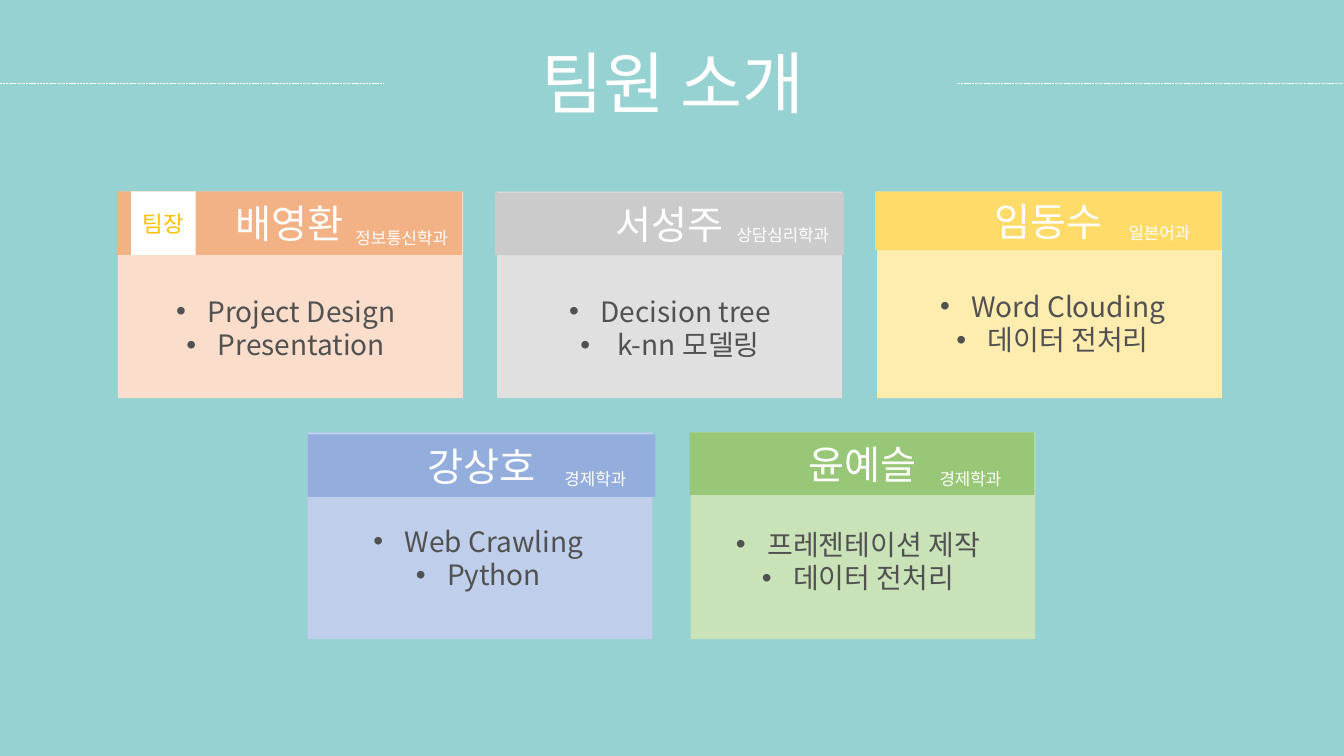
import dataclasses

import lxml.etree
import pptx
import pptx.dml.color
import pptx.enum.dml
import pptx.enum.shapes
import pptx.enum.text
import pptx.oxml.ns
import pptx.util

SCALE = 9144  # EMU in one px, at 100 px to the inch
KIND = pptx.enum.shapes.MSO_SHAPE
ANCHOR = pptx.enum.text.MSO_ANCHOR
qn = pptx.oxml.ns.qn


@dataclasses.dataclass(frozen=True)
class Theme:
    font: str = "Noto Sans CJK KR"
    back: str = "96D2D1"
    white: str = "FFFFFF"
    ink: str = "515151"
    gold: str = "FFC000"
    title: int = 48
    name: int = 28
    duty: int = 20
    badge: int = 16
    dept: int = 12


THEME = Theme()


@dataclasses.dataclass(frozen=True)
class Member:
    name: str
    dept: str
    duties: tuple
    dark: str
    light: str
    box: tuple    # card: left, top, width, height
    band: tuple   # the next three are relative to the card
    tag: tuple
    body: tuple
    lead: str = ""


WIDE, HIGH = 342, 205
UPPER, LOWER = 190, 429

TEAM = (
    Member("배영환", "정보통신학과", ("Project Design", "Presentation"),
           "F3B285", "FADDCA", (117, UPPER, WIDE, HIGH),
           (-1, 0, 342, 63), (221, 31, 121, 30), (3, 97, 327, 77), "팀장"),
    Member("서성주", "상담심리학과", ("Decision tree", " k-nn 모델링"),
           "CBCBCB", "E0E0E0", (493, UPPER, WIDE, HIGH),
           (-2, 1, 346, 62), (223, 28, 121, 30), (-1, 97, 345, 77)),
    Member("임동수", "일본어과", ("Word Clouding", "데이터 전처리"),
           "FFDB69", "FFECAF", (870, UPPER, WIDE, HIGH),
           (-2, 0, 344, 58), (220, 26, 120, 30), (2, 92, 344, 77)),
    Member("강상호", "경제학과", ("Web Crawling", "Python"),
           "93ADDD", "BFCFEB", (305, LOWER, WIDE, HIGH),
           (0, 2, 345, 62), (225, 31, 121, 30), (4, 86, 331, 111)),
    Member("윤예슬", "경제학과", ("프레젠테이션 제작", "데이터 전처리"),
           "97C777", "C9E2B8", (685, LOWER, WIDE, HIGH),
           (-1, 0, 342, 62), (217, 31, 121, 30), (4, 89, 324, 77)),
)


def px(*nums):
    return [pptx.util.Emu(n * SCALE) for n in nums]


def rgb(code):
    return pptx.dml.color.RGBColor.from_string(code)


def within(box, part):
    return (box[0] + part[0], box[1] + part[1], part[2], part[3])


def bullet(para):
    props = para._p.get_or_add_pPr()
    props.set("marL", str(31 * SCALE))
    props.set("indent", str(-31 * SCALE))
    lxml.etree.SubElement(props, qn("a:buFont")).set("typeface", "Arial")
    lxml.etree.SubElement(props, qn("a:buChar")).set("char", "•")


def write(frame, lines, size, color, anchor=ANCHOR.TOP, dots=False):
    frame.word_wrap = True
    frame.vertical_anchor = anchor
    for i, line in enumerate(lines):
        para = frame.add_paragraph() if i else frame.paragraphs[0]
        para.alignment = pptx.enum.text.PP_ALIGN.CENTER
        if dots:
            bullet(para)
        run = para.add_run()
        run.text = line
        run.font.size = pptx.util.Pt(size)
        run.font.name = THEME.font
        run.font.color.rgb = rgb(color)
        # East Asian glyphs take their own typeface
        east = lxml.etree.SubElement(run._r.get_or_add_rPr(), qn("a:ea"))
        east.set("typeface", THEME.font)


def block(slide, kind, box, fill):
    shape = slide.shapes.add_shape(kind, *px(*box))
    shape.shadow.inherit = False
    shape.fill.solid()
    shape.fill.fore_color.rgb = rgb(fill)
    shape.line.fill.background()
    return shape


def label(slide, box, lines, size, color, dots=False):
    frame = slide.shapes.add_textbox(*px(*box)).text_frame
    write(frame, lines, size, color, dots=dots)
    frame.auto_size = pptx.enum.text.MSO_AUTO_SIZE.SHAPE_TO_FIT_TEXT


def rule(slide, left, right, y):
    line = slide.shapes.add_connector(
        pptx.enum.shapes.MSO_CONNECTOR.STRAIGHT, *px(left, y, right, y))
    line.line.color.rgb = rgb(THEME.white)
    line.line.width = pptx.util.Pt(0.5)
    line.line.dash_style = pptx.enum.dml.MSO_LINE.SQUARE_DOT
    lxml.etree.SubElement(line._element.spPr, qn("a:effectLst"))


def header(slide, box, text):
    left, top, width, height = box
    # Dashed rules on both sides of the title
    rule(slide, left, left + 380, top + 83)
    rule(slide, left + 950, left + width, top + 83)
    # Title
    title = slide.shapes.title
    title.left, title.top, title.width, title.height = px(
        left + 434, top + 36, 467, 91)
    write(title.text_frame, [text], THEME.title, THEME.white)
    title.text_frame.auto_size = pptx.enum.text.MSO_AUTO_SIZE.SHAPE_TO_FIT_TEXT


def card(slide, box, who):
    # Panel and name band
    block(slide, KIND.RECTANGLE, box, who.light)
    band = block(slide, KIND.PENTAGON, within(box, who.band), who.dark)
    band.adjustments[0] = 0
    write(band.text_frame, [who.name], THEME.name, THEME.white, ANCHOR.MIDDLE)
    # Leader badge
    if who.lead:
        badge = block(slide, KIND.RECTANGLE, within(box, (13, 0, 64, 63)),
                      THEME.white)
        write(badge.text_frame, [who.lead], THEME.badge, THEME.gold,
              ANCHOR.MIDDLE)
    # Department and duties
    label(slide, within(box, who.tag), [who.dept], THEME.dept, THEME.white)
    label(slide, within(box, who.body), who.duties, THEME.duty, THEME.ink,
          dots=True)


def main():
    deck = pptx.Presentation()
    deck.slide_width, deck.slide_height = px(1333, 750)
    slide = deck.slides.add_slide(deck.slide_layouts.get_by_name("Title Only"))
    slide.background.fill.solid()
    slide.background.fill.fore_color.rgb = rgb(THEME.back)
    header(slide, (0, 0, 1333, 150), "팀원 소개")
    for who in TEAM:
        card(slide, who.box, who)
    deck.save("out.pptx")


if __name__ == "__main__":
    main()
